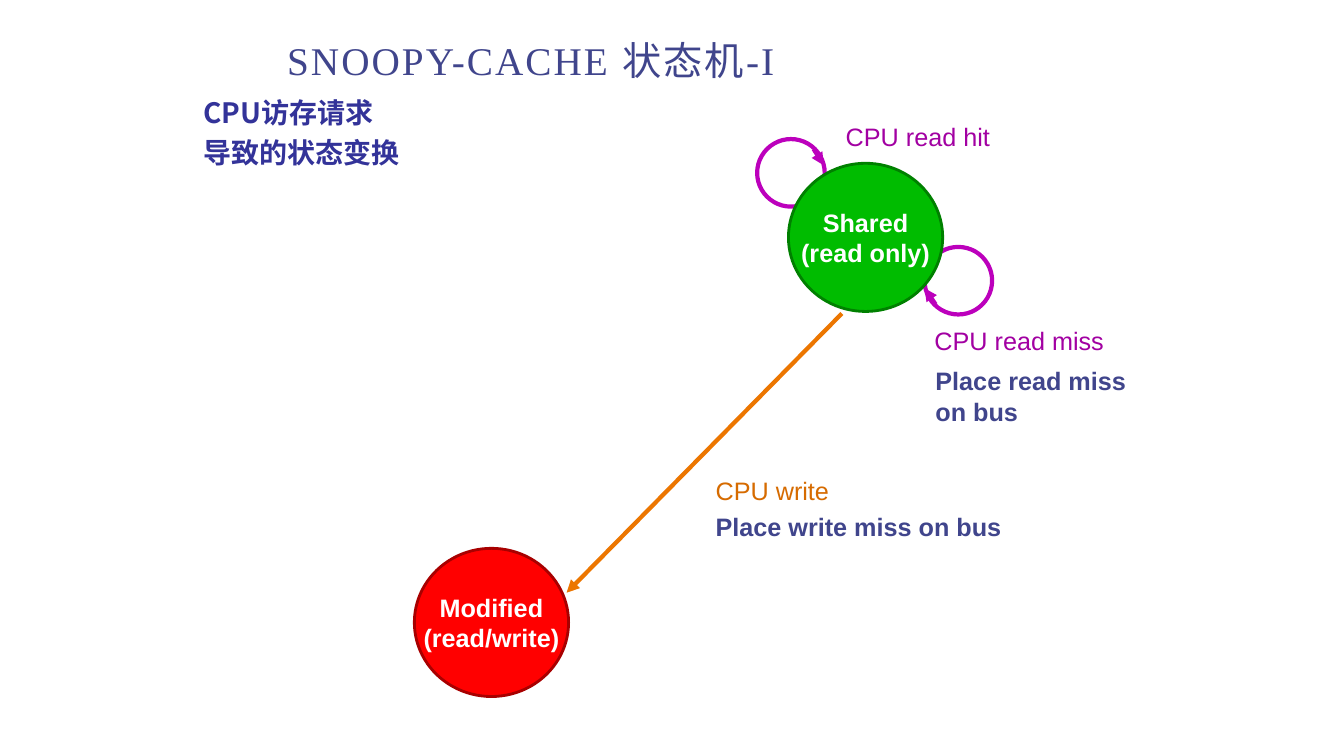
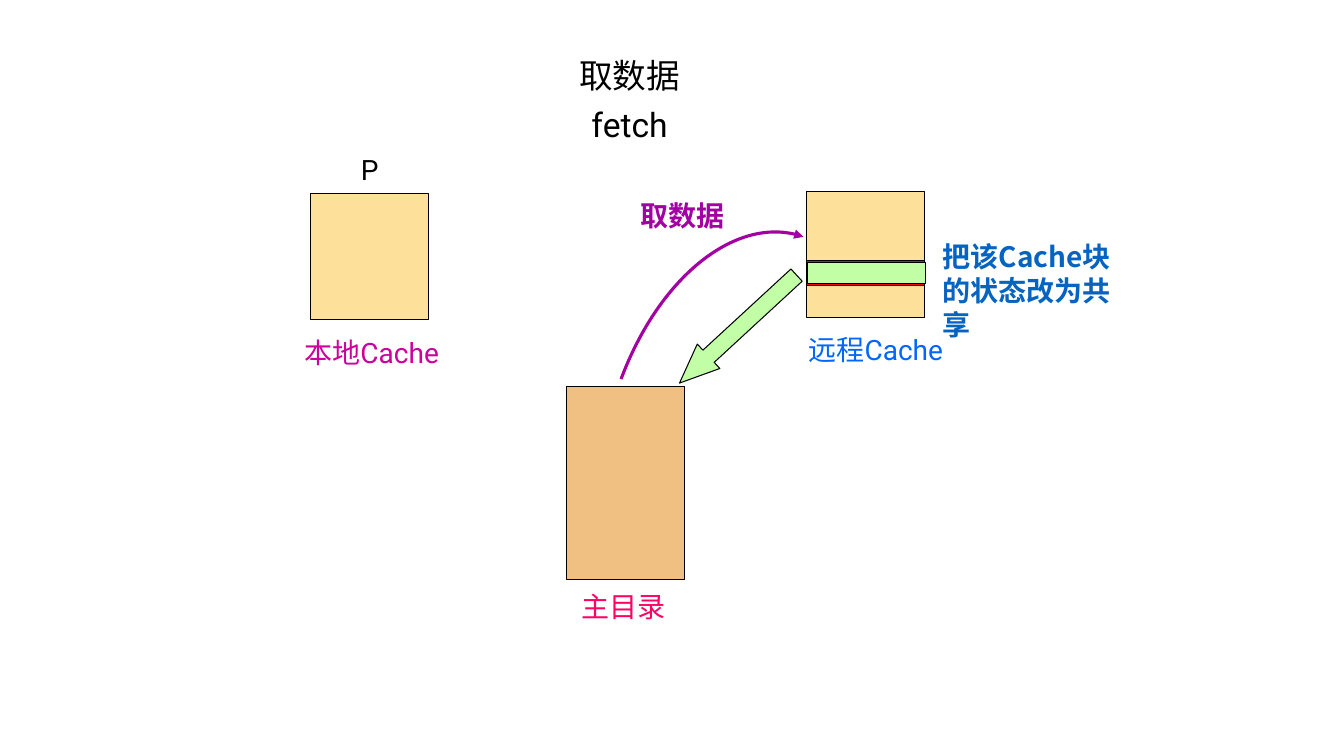
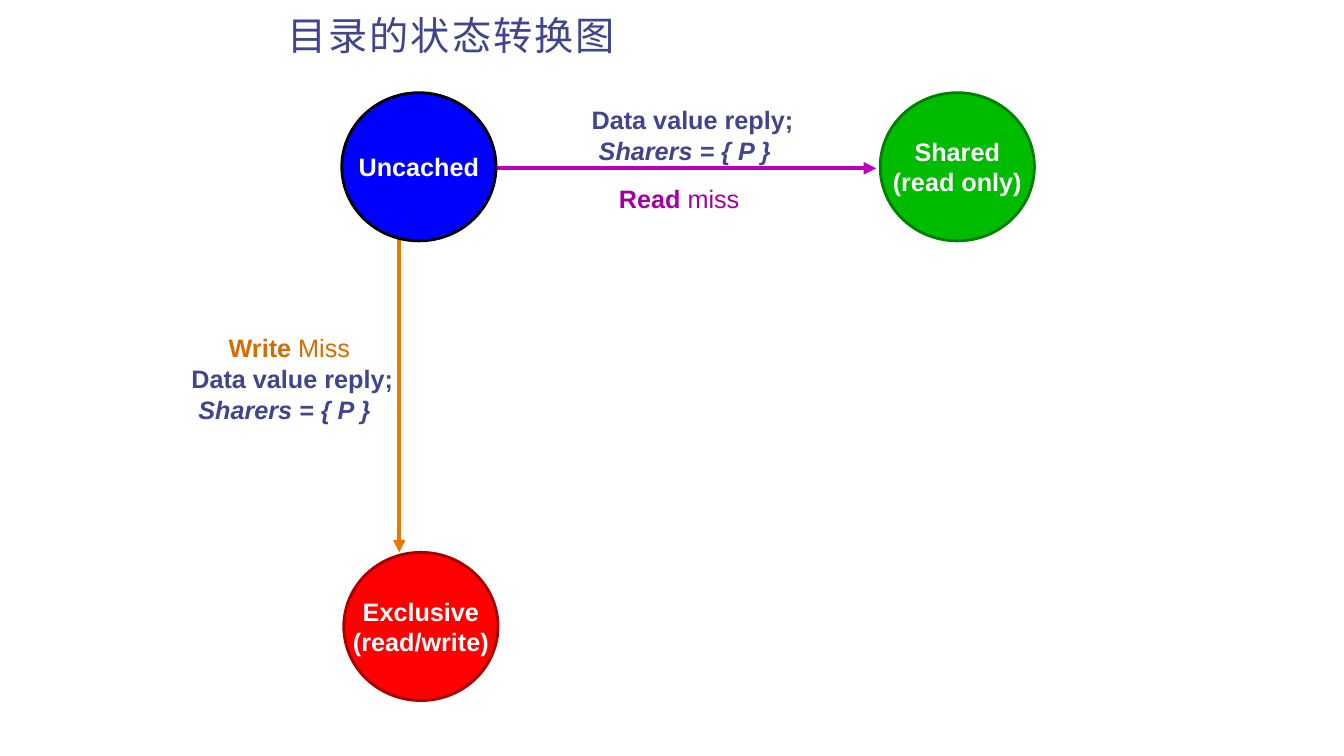
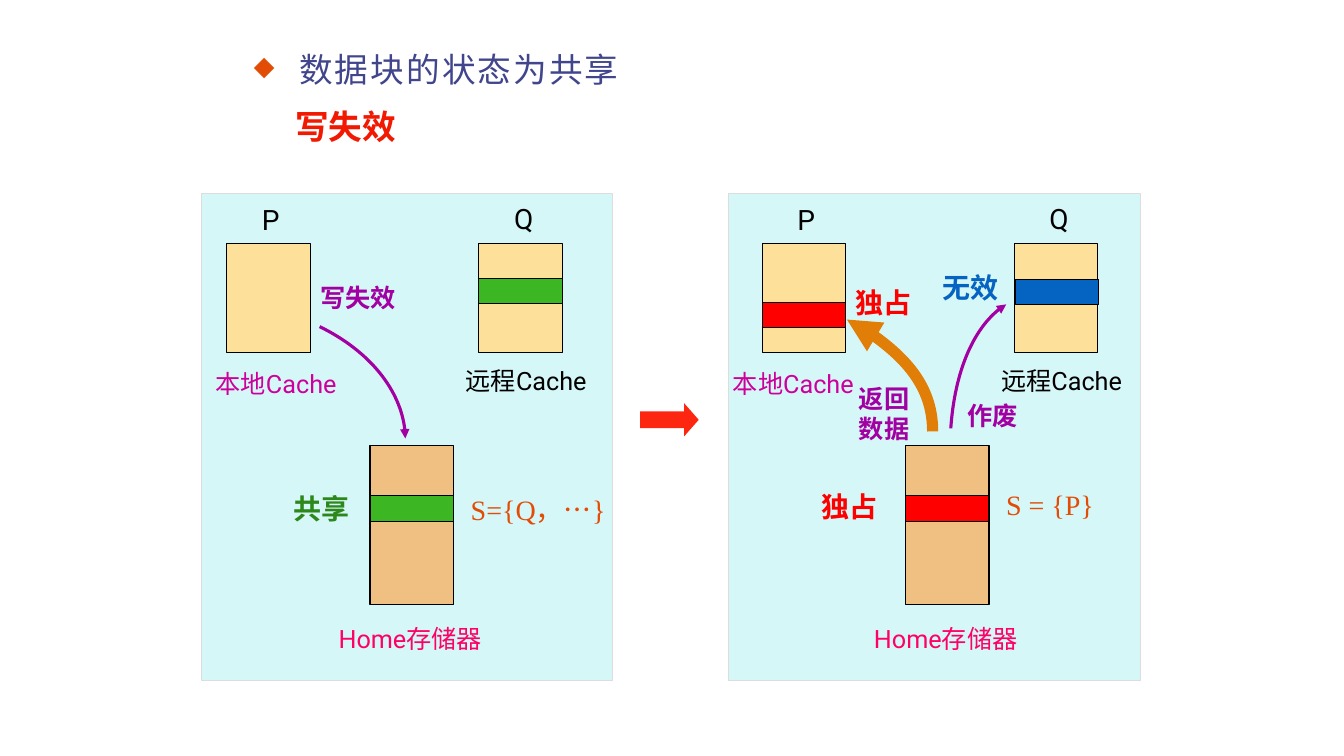
from dataclasses import dataclass, replace

from lxml.etree import SubElement
from pptx import Presentation
from pptx.dml.color import RGBColor
from pptx.enum.shapes import MSO_CONNECTOR, MSO_SHAPE
from pptx.enum.text import MSO_ANCHOR, PP_ALIGN
from pptx.oxml.ns import qn
from pptx.util import Pt

PX = 9144

BLACK = RGBColor(0x00, 0x00, 0x00)
WHITE = RGBColor(0xFF, 0xFF, 0xFF)
SLATE = RGBColor(0x40, 0x45, 0x8C)
INDIGO = RGBColor(0x33, 0x33, 0x99)
PURPLE = RGBColor(0xA2, 0x00, 0xA2)
VIOLET = RGBColor(0xBC, 0x00, 0xBC)
MAGENTA = RGBColor(0xCD, 0x00, 0x9B)
PINK = RGBColor(0xFF, 0x00, 0x66)
ORANGE = RGBColor(0xEC, 0x76, 0x00)
AMBER = RGBColor(0xD6, 0x6B, 0x00)
OCHRE = RGBColor(0xE1, 0x7E, 0x07)
RUST = RGBColor(0xE2, 0x4C, 0x05)
RED = RGBColor(0xFF, 0x00, 0x00)
DARK_RED = RGBColor(0xA8, 0x00, 0x00)
SCARLET = RGBColor(0xF2, 0x19, 0x02)
ARROW_RED = RGBColor(0xFD, 0x27, 0x11)
GREEN = RGBColor(0x00, 0xBC, 0x00)
DARK_GREEN = RGBColor(0x00, 0x80, 0x00)
LEAF = RGBColor(0x3C, 0xB7, 0x23)
FOREST = RGBColor(0x2C, 0x88, 0x1A)
LIME = RGBColor(0xC1, 0xFE, 0xA6)
BLUE = RGBColor(0x00, 0x00, 0xFF)
SKY = RGBColor(0x00, 0x66, 0xFF)
AZURE = RGBColor(0x05, 0x63, 0xC1)
SAND = RGBColor(0xFD, 0xE1, 0x9B)
TAN = RGBColor(0xEF, 0xC0, 0x81)
PALE_CYAN = RGBColor(0xD6, 0xF7, 0xF8)
SILVER = RGBColor(0xDD, 0xDD, 0xDD)


@dataclass(frozen=True)
class Style:
    size: int
    color: RGBColor
    bold: bool = False
    font: str = "Roboto"
    align: PP_ALIGN = PP_ALIGN.LEFT
    line: float = 1.0
    before: int = 0


@dataclass(frozen=True)
class Run:
    text: str
    bold: bool


@dataclass(frozen=True)
class Para:
    runs: tuple[Run, ...] | str
    italic: bool = False
    margin: int = 0


@dataclass(frozen=True)
class Label:
    x: int
    y: int
    w: int
    h: int
    paras: tuple[Para | str, ...] | str
    style: Style


@dataclass(frozen=True)
class Box:
    x: int
    y: int
    w: int
    h: int
    fill: RGBColor | None
    line: RGBColor | None = BLACK
    weight: float = 0.75
    kind: MSO_SHAPE = MSO_SHAPE.RECTANGLE


@dataclass(frozen=True)
class State:
    x: int
    y: int
    lines: tuple[str, ...]
    fill: RGBColor
    line: RGBColor


TITLE = Style(28, SLATE, font="Times New Roman", line=0.9)
EDGE = Style(18, PURPLE, font="Arial")
ACTION = Style(18, SLATE, True, "Arial")
STATE = Style(18, WHITE, True, "Arial", PP_ALIGN.CENTER)
NAME = Style(20, BLACK)
SMALL = Style(18, BLACK)
STEP = Style(18, PURPLE, True)
SHARERS = Style(20, RUST, font="Times New Roman")
REPLY = ("Data value reply;", Para("Sharers = { P }", italic=True, margin=7))
SHARED = ("Shared", "(read only)")


def write(tf, paras: tuple[Para | str, ...] | str, style: Style) -> None:
    items = (paras,) if isinstance(paras, str) else paras
    for i, item in enumerate(items):
        para = Para(item) if isinstance(item, str) else item
        p = tf.paragraphs[0] if i == 0 else tf.add_paragraph()
        if para.margin:
            p._p.get_or_add_pPr().set("marL", str(para.margin * PX))
        p.alignment = style.align
        p.line_spacing = style.line
        if i:
            p.space_before = Pt(style.before)
        f = p.font
        f.name, f.size, f.italic = style.font, Pt(style.size), para.italic
        f.color.rgb = style.color
        if isinstance(para.runs, str):
            p.text = para.runs
            f.bold = style.bold
        else:
            for run in para.runs:
                r = p.add_run()
                r.text, r.font.bold = run.text, run.bold


def add_label(s, label: Label):
    sp = s.shapes.add_textbox(*(v * PX for v in (label.x, label.y, label.w, label.h)))
    sp.text_frame.word_wrap = True
    write(sp.text_frame, label.paras, label.style)
    return sp


def add_title(s, x: int, y: int, w: int, text: str, style: Style = TITLE):
    sp = add_label(s, Label(x, y, w, 58, text, style))
    sp.text_frame.vertical_anchor = MSO_ANCHOR.MIDDLE
    p = sp.text_frame.paragraphs[0]
    for r in p.runs:
        r.font._element.set("spc", "150")
    return p


def add_box(s, box: Box):
    sp = s.shapes.add_shape(box.kind, *(v * PX for v in (box.x, box.y, box.w, box.h)))
    sp.shadow.inherit = False
    if box.fill is None:
        sp.fill.background()
    else:
        sp.fill.solid()
        sp.fill.fore_color.rgb = box.fill
    if box.line is None:
        sp.line.fill.background()
    else:
        sp.line.color.rgb = box.line
        sp.line.width = Pt(box.weight)
    return sp


def add_state(s, state: State) -> None:
    sp = add_box(s, Box(state.x, state.y, 153, 147, state.fill, state.line, 2, MSO_SHAPE.OVAL))
    tf = sp.text_frame
    tf.word_wrap = False
    tf.vertical_anchor = MSO_ANCHOR.MIDDLE
    write(tf, state.lines, STATE)


def add_head(line) -> None:
    SubElement(line._get_or_add_ln(), qn("a:tailEnd"), type="triangle")


def add_arrow(s, x1: int, y1: int, x2: int, y2: int, color: RGBColor) -> None:
    c = s.shapes.add_connector(MSO_CONNECTOR.STRAIGHT, *(v * PX for v in (x1, y1, x2, y2)))
    c.line.color.rgb = color
    c.line.width = Pt(3)
    add_head(c.line)
    SubElement(c._element.spPr, qn("a:effectLst"))


def add_curve(s, points: list[tuple[int, int]], color: RGBColor = PURPLE,
              weight: float = 2.25) -> None:
    fb = s.shapes.build_freeform(*points[0], scale=PX)
    fb.add_line_segments(points[1:], close=False)
    sp = fb.convert_to_shape()
    segments = sp._element.findall(".//" + qn("a:lnTo"))
    outline = segments[0].getparent()
    cubic = SubElement(outline, qn("a:cubicBezTo"))
    for segment in segments:
        cubic.append(segment[0])
        outline.remove(segment)
    sp.shadow.inherit = False
    sp.fill.background()
    sp.line.color.rgb = color
    sp.line.width = Pt(weight)
    add_head(sp.line)


def add_loop(s, x: int, y: int, arrow: tuple[int, int, int, int]) -> None:
    add_box(s, Box(x, y, 67, 67, None, VIOLET, 3, MSO_SHAPE.OVAL))
    add_arrow(s, *arrow, VIOLET)


def build_snoopy(s) -> None:
    add_title(s, 275, 33, 783, "SNOOPY-CACHE 状态机-I")
    add_loop(s, 917, 245, (928, 302, 917, 286))
    add_loop(s, 751, 138, (807, 148, 817, 164))
    add_state(s, State(782, 162, SHARED, GREEN, DARK_GREEN))
    add_state(s, State(411, 544, ("Modified", "(read/write)"), RED, DARK_RED))
    add_arrow(s, 835, 311, 562, 588, ORANGE)
    heading = Style(20, INDIGO, True, "Noto Sans CJK SC", line=1.2)
    for label in (
        Label(192, 83, 217, 90, "CPU访存请求\v导致的状态变换", heading),
        Label(829, 115, 180, 40, "CPU read hit", EDGE),
        Label(917, 318, 200, 40, "CPU read miss", EDGE),
        Label(918, 358, 230, 70, ("Place read miss", "on bus"), ACTION),
        Label(700, 467, 150, 40, "CPU write", replace(EDGE, color=AMBER)),
        Label(700, 502, 320, 40, "Place write miss on bus", ACTION),
    ):
        add_label(s, label)


def build_fetch(s) -> None:
    for box in (
        Box(308, 192, 117, 125, SAND),
        Box(562, 383, 117, 192, TAN),
        Box(800, 190, 117, 125, SAND),
        Box(800, 258, 117, 25, RED),
        Box(801, 260, 117, 21, LIME),
    ):
        add_box(s, box)
    add_curve(s, [(616, 376), (654, 275), (734, 212), (797, 235)])
    reply = add_box(s, Box(653, 310, 158, 33, LIME, kind=MSO_SHAPE.LEFT_ARROW))
    reply.adjustments[0], reply.adjustments[1] = 0.5, 1.19
    reply.rotation = 317.3
    heading = Style(24, BLACK, align=PP_ALIGN.CENTER, before=6)
    note = Style(20, AZURE, True, "Noto Sans CJK SC")
    for label in (
        Label(558, 50, 133, 99, ("取数据", "fetch"), heading),
        Label(348, 146, 50, 43, "P", NAME),
        Label(292, 328, 183, 43, "本地Cache", replace(NAME, color=MAGENTA)),
        Label(792, 325, 175, 43, "远程Cache", replace(NAME, color=SKY)),
        Label(567, 584, 142, 40, "主目录", replace(NAME, color=PINK, line=0.9)),
        Label(625, 192, 117, 43, "取数据", replace(STEP, size=20)),
        Label(925, 233, 208, 77, "把该Cache块的状态改为共享", note),
    ):
        add_label(s, label)


def build_directory(s) -> None:
    add_title(s, 275, 8, 783, "目录的状态转换图")
    add_arrow(s, 396, 217, 396, 548, ORANGE)
    add_arrow(s, 492, 167, 869, 167, VIOLET)
    for state in (
        State(341, 548, ("Exclusive", "(read/write)"), RED, DARK_RED),
        State(339, 92, ("Uncached",), BLUE, BLACK),
        State(873, 92, SHARED, GREEN, DARK_GREEN),
    ):
        add_state(s, state)
    read_miss = Para((Run("Read", True), Run(" miss", False)))
    write_miss = Para((Run("Write", True), Run(" Miss", False)))
    for label in (
        Label(217, 325, 160, 40, (write_miss,), replace(EDGE, color=AMBER)),
        Label(180, 356, 230, 70, REPLY, ACTION),
        Label(604, 177, 160, 40, (read_miss,), EDGE),
        Label(577, 99, 230, 70, REPLY, ACTION),
    ):
        add_label(s, label)


def add_system(s, panel_x: int, x: int, local_x: int) -> None:
    for box in (
        Box(panel_x, 192, 408, 483, PALE_CYAN, SILVER),
        Box(x, 242, 83, 108, SAND),
        Box(x + 250, 242, 83, 108, SAND),
        Box(x + 142, 442, 83, 158, TAN),
    ):
        add_box(s, box)
    for label in (
        Label(x + 25, 196, 50, 43, "P", NAME),
        Label(x + 275, 195, 50, 43, "Q", NAME),
        Label(local_x, 360, 183, 40, "本地Cache", replace(SMALL, color=MAGENTA)),
        Label(x + 227, 358, 175, 40, "远程Cache", SMALL),
        Label(x + 101, 617, 183, 37, "Home存储器", replace(SMALL, color=PINK, line=0.9)),
    ):
        add_label(s, label)


def add_bullet(p, margin: int) -> None:
    pPr = p._p.get_or_add_pPr()
    pPr.set("marL", str(margin * PX))
    pPr.set("indent", str(-margin * PX))
    color = pPr.makeelement(qn("a:buClr"), {})
    SubElement(color, qn("a:srgbClr"), val=str(RUST))
    size = pPr.makeelement(qn("a:buSzPct"), {"val": "80000"})
    char = pPr.makeelement(qn("a:buChar"), {"char": "◆"})
    default_font = pPr.find(qn("a:defRPr"))
    for element in (color, size, char):
        default_font.addprevious(element)


def build_write_miss(s) -> None:
    p = add_title(s, 242, 42, 508, "数据块的状态为共享", replace(TITLE, size=24))
    add_bullet(p, 45)
    add_label(s, Label(283, 100, 133, 50, "写失效", Style(24, SCARLET, True)))
    add_system(s, 200, 225, 204)
    add_system(s, 723, 756, 717)
    for x, y, color in (
        (367, 492, LEAF), (475, 276, LEAF),
        (898, 492, RED), (756, 300, RED), (1007, 277, AZURE),
    ):
        add_box(s, Box(x, y, 83, 25, color))
    arrow = add_box(s, Box(635, 400, 58, 33, ARROW_RED, None, kind=MSO_SHAPE.RIGHT_ARROW))
    arrow.adjustments[0], arrow.adjustments[1] = 0.5, 0.44
    exclusive = Style(20, RED, True)
    for label in (
        Label(308, 275, 117, 40, "写失效", STEP),
        Label(842, 375, 87, 70, "返回数据", STEP),
        Label(950, 392, 75, 42, "作废", STEP),
        Label(281, 483, 108, 43, "共享", replace(exclusive, color=FOREST)),
        Label(925, 263, 92, 43, "无效", replace(exclusive, color=AZURE)),
        Label(805, 481, 88, 43, "独占", exclusive),
        Label(839, 278, 88, 43, "独占", exclusive),
        Label(457, 484, 158, 43, "S={Q，…}", SHARERS),
        Label(988, 479, 132, 43, "S = {P}", SHARERS),
    ):
        add_label(s, label)
    add_curve(s, [(317, 324), (368, 349), (402, 394), (402, 435)])
    add_curve(s, [(925, 428), (925, 387), (891, 342), (840, 317)], OCHRE, 8)
    add_curve(s, [(943, 425), (947, 368), (969, 319), (998, 302)])


def main() -> None:
    prs = Presentation()
    prs.slide_width, prs.slide_height = 1333 * PX, 750 * PX
    for build in (build_snoopy, build_fetch, build_directory, build_write_miss):
        build(prs.slides.add_slide(prs.slide_layouts[6]))
    prs.save("out.pptx")


if __name__ == "__main__":
    main()
